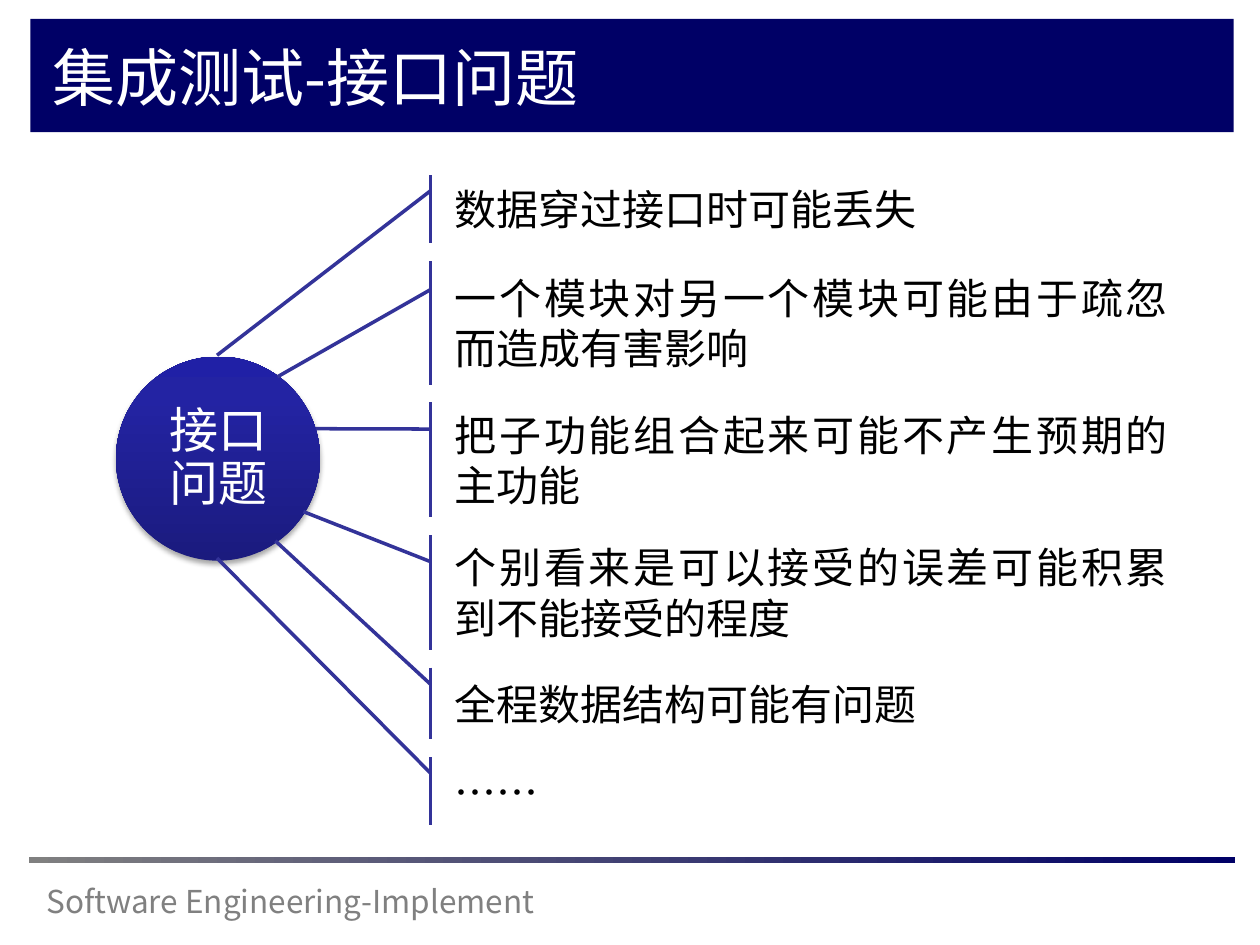
from lxml import etree
from pptx import Presentation
from pptx.dml.color import RGBColor
from pptx.enum.shapes import MSO_SHAPE
from pptx.enum.text import MSO_ANCHOR, PP_ALIGN
from pptx.oxml.ns import qn
from pptx.util import Inches, Pt

RECT, OVAL = MSO_SHAPE.RECTANGLE, MSO_SHAPE.OVAL
CALLOUT = MSO_SHAPE.LINE_CALLOUT_1_ACCENT_BAR
TOP, MIDDLE = MSO_ANCHOR.TOP, MSO_ANCHOR.MIDDLE
LEFT, CENTER, JUSTIFY = PP_ALIGN.LEFT, PP_ALIGN.CENTER, PP_ALIGN.JUSTIFY

FONT = "Noto Sans CJK SC"
NAVY, BLUE, GRAY, WHITE, BLACK = "000066", "333399", "808080", "FFFFFF", "000000"

# Text, height, and where the leader ends (y, x as shares of the box)
ISSUES = [
    ("数据穿过接口时可能丢失", 0.54, 2.647, -0.305),
    ("一个模块对另一个模块可能由于疏忽而造成有害影响", 0.98, 0.937, -0.223),
    ("把子功能组合起来可能不产生预期的主功能", 0.91, 0.229, -0.171),
    ("个别看来是可以接受的误差可能积累到不能接受的程度", 0.91, -0.204, -0.188),
    ("全程数据结构可能有问题", 0.57, -1.763, -0.226),
    ("……", 0.54, -2.925, -0.305),
]


def color(code):
    return RGBColor.from_string(code)


def write(shape, text, size=24, ink=BLACK, align=LEFT, anchor=TOP, inset=None, line=None):
    frame = shape.text_frame
    frame.word_wrap = True
    frame.vertical_anchor = anchor
    if inset is not None:
        frame.margin_left = frame.margin_right = Inches(inset)
        frame.margin_top = frame.margin_bottom = Inches(inset)
    para = frame.paragraphs[0]
    para.alignment = align
    if line:
        para.line_spacing = line
    run = para.add_run()
    run.text = text
    run.font.size = Pt(size)
    run.font.name = FONT
    run.font.color.rgb = color(ink)
    east = etree.SubElement(run.font._element, qn("a:ea"))
    east.set("typeface", FONT)


def label(shapes, box, text, **form):
    write(shapes.add_textbox(*map(Inches, box)), text, **form)


def draw(shapes, kind, box, fill=None, line=None):
    shape = shapes.add_shape(kind, *map(Inches, box))
    shape.shadow.inherit = False
    if fill:
        shape.fill.solid()
        shape.fill.fore_color.rgb = color(fill)
    if line:
        shape.line.color.rgb = color(line)
        shape.line.width = Pt(2)
    else:
        shape.line.fill.background()
    return shape


def blend(shape, stops, angle):
    shape.fill.gradient()
    shape.fill.gradient_angle = angle
    ramp = shape._element.spPr.find(".//" + qn("a:gsLst"))
    for old in list(ramp):
        ramp.remove(old)
    for place, code in stops:
        stop = etree.SubElement(ramp, qn("a:gs"), pos=str(place * 1000))
        etree.SubElement(stop, qn("a:srgbClr"), val=code)


def shade(shape):
    effects = shape._element.spPr.find(qn("a:effectLst"))
    outer = etree.SubElement(effects, qn("a:outerShdw"), blurRad=str(Pt(3.1)),
                             dist=str(Pt(1.8)), dir="5400000", rotWithShape="0")
    tint = etree.SubElement(outer, qn("a:srgbClr"), val=BLACK)
    etree.SubElement(tint, qn("a:alpha"), val="35000")


def header(shapes, box):
    draw(shapes, RECT, box, fill=NAVY)
    x, y, w, h = box
    label(shapes, (x + 0.08, y + 0.11, 8.81, 0.74), "集成测试-接口问题", size=36, ink=WHITE)


def footer(shapes, box):
    x, y, w, h = box
    rule = draw(shapes, RECT, (x, y, w, 0.05))
    blend(rule, [(0, GRAY), (100, NAVY)], 0)
    label(shapes, (x + 0.04, y + 0.15, 5.17, 0.4), "Software Engineering-Implement",
          size=18, ink=GRAY)


def hub(shapes, box):
    group = shapes.add_group_shape().shapes
    disc = draw(group, OVAL, box)
    blend(disc, [(0, "1B1B7E"), (80, "2323A3"), (100, "2020A6")], 90)
    shade(disc)
    x, y, w, h = box
    pad = 0.24
    label(group, (x + pad, y + pad, w - 2 * pad + 0.01, h - 2 * pad + 0.01), "接口问题",
          size=28, ink=WHITE, align=CENTER, anchor=MIDDLE, inset=0.05, line=0.9)


def issues(shapes, box):
    x, y, w, h = box
    gap = (h - sum(row[1] for row in ISSUES)) / (len(ISSUES) - 1)
    for text, tall, tip_y, tip_x in ISSUES:
        note = draw(shapes, CALLOUT, (x, y, w, tall), fill=WHITE, line=BLUE)
        for i, value in enumerate((0.232, -0.016, tip_y, tip_x)):
            note.adjustments[i] = value
        write(note, text, align=JUSTIFY, anchor=MIDDLE)
        y += tall + gap


def main():
    deck = Presentation()
    deck.slide_width, deck.slide_height = Inches(10), Inches(7.5)
    shapes = deck.slides.add_slide(deck.slide_layouts[6]).shapes
    header(shapes, (0.24, 0.15, 9.55, 0.9))
    footer(shapes, (0.23, 6.8, 9.57, 0.55))
    hub(shapes, (0.92, 2.83, 1.62, 1.62))
    issues(shapes, (3.51, 1.39, 5.86, 5.16))
    deck.save("out.pptx")


if __name__ == "__main__":
    main()
